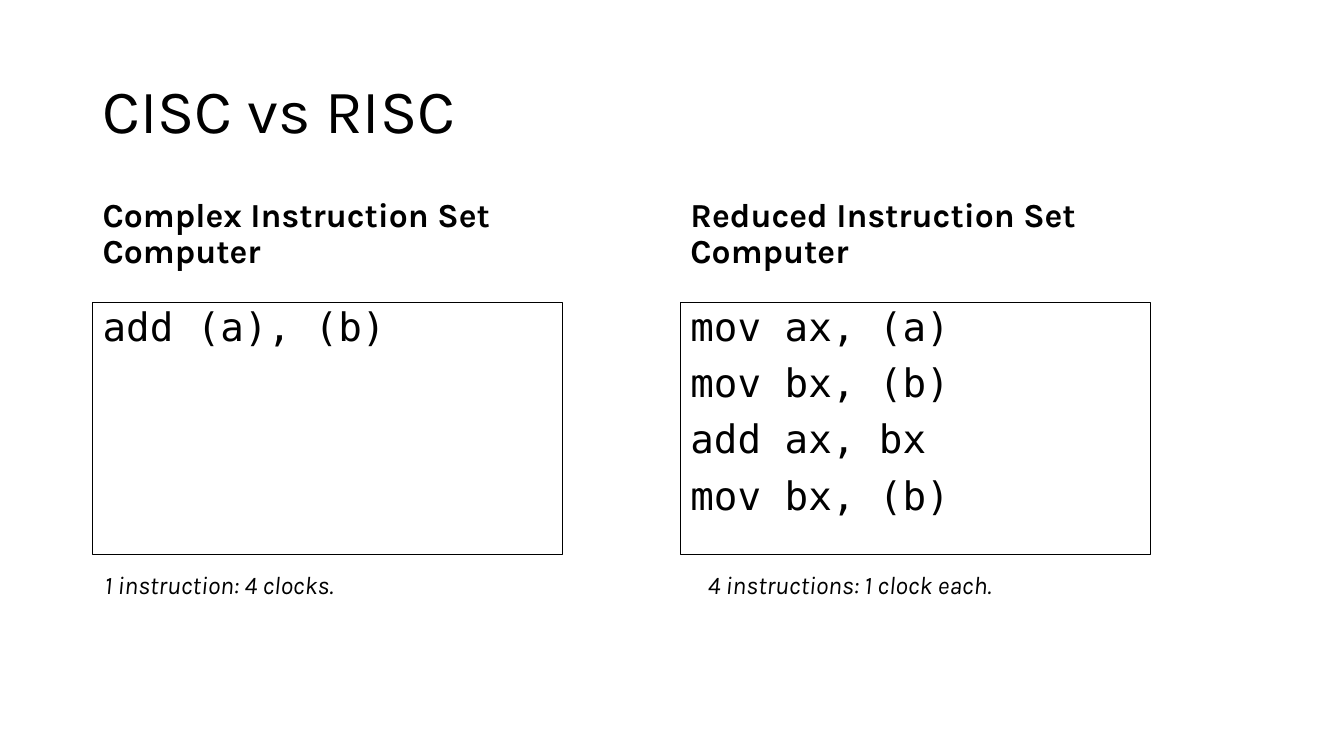
from pptx import Presentation
from pptx.dml.color import RGBColor
from pptx.enum.shapes import MSO_SHAPE
from pptx.enum.text import MSO_ANCHOR, PP_ALIGN
from pptx.util import Inches, Pt

BLACK = RGBColor(0, 0, 0)
TEXT_FONT = "Karla"
CODE_FONT = "DejaVu Sans Mono"
MARGIN = 0.92
RIGHT_COLUMN = 6.75
COLUMN_TOP = 1.84


def write_lines(shape, lines, font_name, size, anchor=MSO_ANCHOR.TOP,
                bold=False, italic=False, line_spacing=0.9, wrap=True):
    frame = shape.text_frame
    frame.word_wrap = wrap
    frame.vertical_anchor = anchor
    for index, line in enumerate(lines):
        paragraph = frame.add_paragraph() if index else frame.paragraphs[0]
        paragraph.alignment = PP_ALIGN.LEFT
        paragraph.line_spacing = line_spacing
        paragraph.space_before = Pt(10 if index else 0)
        run = paragraph.add_run()
        run.text = line
        run.font.name = font_name
        run.font.size = Pt(size)
        run.font.bold = bold
        run.font.italic = italic
        run.font.color.rgb = BLACK


def add_text(slide, left, top, width, height, line, size, **style):
    box = slide.shapes.add_textbox(
        Inches(left), Inches(top), Inches(width), Inches(height))
    write_lines(box, [line], TEXT_FONT, size, **style)


def add_title(slide, left, top, width, height, title):
    add_text(slide, left, top, width, height, title, 44,
             anchor=MSO_ANCHOR.MIDDLE)


def add_code_panel(slide, left, top, width, height, lines):
    panel = slide.shapes.add_shape(
        MSO_SHAPE.RECTANGLE,
        Inches(left), Inches(top), Inches(width), Inches(height))
    panel.shadow.inherit = False
    panel.fill.background()
    panel.line.color.rgb = BLACK
    panel.line.width = Pt(0.75)
    write_lines(panel, lines, CODE_FONT, 28)


def add_architecture(slide, left, top, heading, code, caption,
                     caption_indent, caption_width):
    add_text(slide, left, top, 5.64, 0.9, heading, 24,
             anchor=MSO_ANCHOR.BOTTOM, bold=True)
    add_code_panel(slide, left, top + 1.16, 4.66, 2.5, code)
    add_text(slide, left + caption_indent, top + 3.76, caption_width, 0.4,
             caption, 18, italic=True, line_spacing=1.0, wrap=False)


def main():
    presentation = Presentation()
    presentation.slide_width = Inches(13.33)
    presentation.slide_height = Inches(7.5)
    slide = presentation.slides.add_slide(presentation.slide_layouts[6])
    add_title(slide, MARGIN, 0.4, 11.5, 1.45, "CISC vs RISC")
    add_architecture(
        slide, MARGIN, COLUMN_TOP, "Complex Instruction Set Computer",
        ["add (a), (b)"], "1 instruction: 4 clocks.", 0.02, 2.73)
    add_architecture(
        slide, RIGHT_COLUMN, COLUMN_TOP, "Reduced Instruction Set Computer",
        ["mov ax, (a)", "mov bx, (b)", "add ax, bx", "mov bx, (b)"],
        "4 instructions: 1 clock each.", 0.17, 3.24)
    presentation.save("out.pptx")


if __name__ == "__main__":
    main()
